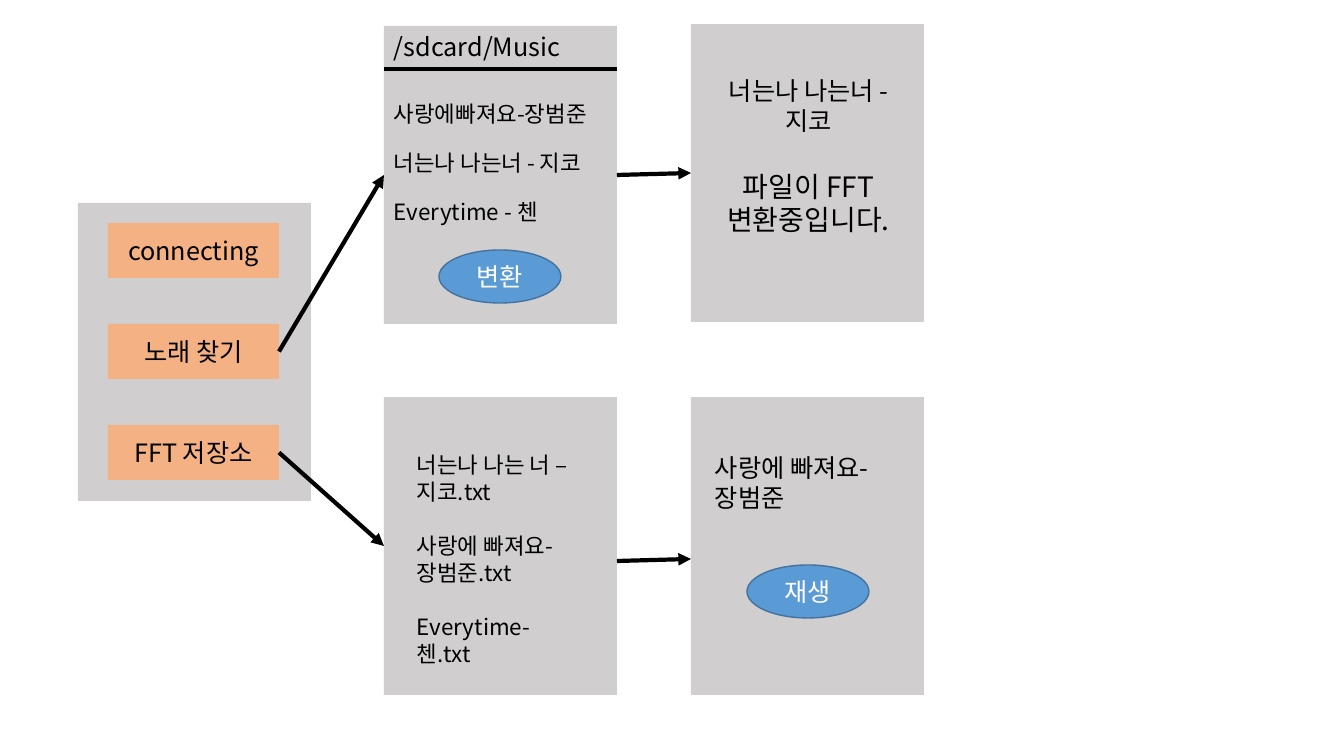
from lxml.etree import SubElement
from pptx import Presentation
from pptx.dml.color import RGBColor
from pptx.enum.shapes import MSO_CONNECTOR, MSO_SHAPE
from pptx.enum.text import MSO_ANCHOR, PP_ALIGN
from pptx.oxml.ns import qn
from pptx.util import Emu, Pt

# Content
MENU = ["connecting", "노래 찾기", "FFT 저장소"]
FOLDER = "/sdcard/Music"
SONGS = ["사랑에빠져요-장범준", "너는나 나는너 - 지코", "Everytime - 첸"]
CONVERTING = ["너는나 나는너 -지코", "파일이 FFT", "변환중입니다."]
FILES = ["너는나 나는 너 – 지코.txt", "사랑에 빠져요-장범준.txt", "Everytime-첸.txt"]
PLAYING = "사랑에 빠져요-장범준"
CONVERT, PLAY = "변환", "재생"

THEME = {
    "font": "Noto Sans CJK KR",
    "screen": "D0CECE", "button": "F4B183", "oval": "5B9BD5", "oval_line": "43739E",
    "ink": "000000", "light": "FFFFFF",
    "small": 16, "normal": 18, "large": 20, "rule": 3,
}

# Layout in px
SCREEN_W, SCREEN_H = 233, 298
MENU_X, LIST_X, RESULT_X = 78, 384, 691
MENU_Y, LIST_Y, CONVERT_Y, BOTTOM_Y = 203, 26, 24, 397
BUTTON_W, BUTTON_H, BUTTON_STEP = 171, 55, 101
OVAL_W, OVAL_H = 122, 53
SONG_Y, SONG_STEP = 95, 49


def px(n):
    return Emu(round(n * 914400 / 100.8))


def rgb(name):
    return RGBColor.from_string(THEME[name])


prs = Presentation()
prs.slide_width, prs.slide_height = px(1344), px(756)
s = prs.slides.add_slide(prs.slide_layouts[6])


def write(tf, lines, sizes, color="ink", align=PP_ALIGN.LEFT):
    tf.word_wrap = True
    tf.text = "\n".join(lines)
    for p, size in zip(tf.paragraphs, sizes):
        p.alignment = align
        for r in p.runs:
            r.font.size = Pt(THEME[size])
            r.font.color.rgb = rgb(color)
            r.font.name = THEME["font"]
            SubElement(r.font._element, qn("a:ea"), typeface=THEME["font"])


def add_box(shapes, kind, x, y, w, h, fill, line=None, label=None, color="ink"):
    sp = shapes.add_shape(kind, px(x), px(y), px(w), px(h))
    sp.shadow.inherit = False
    sp.fill.solid()
    sp.fill.fore_color.rgb = rgb(fill)
    if line:
        sp.line.color.rgb = rgb(line)
        sp.line.width = Pt(1)
    else:
        sp.line.fill.background()
    if label:
        sp.text_frame.vertical_anchor = MSO_ANCHOR.MIDDLE
        write(sp.text_frame, [label], ["normal"], color, PP_ALIGN.CENTER)
    return sp


def add_screen(x, y, shapes=s.shapes):
    return add_box(shapes, MSO_SHAPE.RECTANGLE, x, y, SCREEN_W, SCREEN_H, "screen")


def add_oval(x, y, label):
    add_box(s.shapes, MSO_SHAPE.OVAL, x, y, OVAL_W, OVAL_H, "oval", "oval_line", label, "light")


def add_text(x, y, w, h, lines, sizes, align=PP_ALIGN.LEFT):
    tf = s.shapes.add_textbox(px(x), px(y), px(w), px(h)).text_frame
    write(tf, lines, sizes, align=align)
    return tf


def add_line(x1, y1, x2, y2, arrow=True):
    cxn = s.shapes.add_connector(MSO_CONNECTOR.STRAIGHT, px(x1), px(y1), px(x2), px(y2))
    cxn.line.color.rgb = rgb("ink")
    cxn.line.width = Pt(THEME["rule"])
    if arrow:
        SubElement(cxn.line._get_or_add_ln(), qn("a:tailEnd"), type="triangle")
    SubElement(cxn._element.spPr, qn("a:effectLst"))
    return cxn


# Menu screen with its buttons
menu = s.shapes.add_group_shape()
add_screen(MENU_X, MENU_Y, menu.shapes)
buttons = [
    add_box(menu.shapes, MSO_SHAPE.RECTANGLE, MENU_X + 30, MENU_Y + 20 + i * BUTTON_STEP,
            BUTTON_W, BUTTON_H, "button", label=label)
    for i, label in enumerate(MENU)
]

# Song list screen
song_list = add_screen(LIST_X, LIST_Y)
add_line(LIST_X, 69, LIST_X + SCREEN_W, 69, arrow=False)
add_text(LIST_X, LIST_Y, SCREEN_W, 40, [FOLDER], ["normal"])
for i, song in enumerate(SONGS):
    add_text(LIST_X, SONG_Y + i * SONG_STEP, SCREEN_W, 37, [song], ["small"])
add_oval(LIST_X + 55, 250, CONVERT)

# Converting screen
converting = add_screen(RESULT_X, CONVERT_Y)
tf = add_text(RESULT_X + 14, 70, 207, 207, CONVERTING,
              ["normal", "large", "large"], PP_ALIGN.CENTER)
tf.paragraphs[1].space_before = Pt(24)

# FFT storage screen
storage = add_screen(LIST_X, BOTTOM_Y)
tf = add_text(LIST_X + 23, 446, 187, 201, FILES, ["small"] * len(FILES))
for p in tf.paragraphs[1:]:
    p.space_before = Pt(19.5)

# Player screen
add_screen(RESULT_X, BOTTOM_Y)
add_text(RESULT_X + 14, 447, 207, 102, [PLAYING], ["normal"])
add_oval(RESULT_X + 56, 565, PLAY)

# Arrows between the screens
for start, end in [(buttons[1], song_list), (song_list, converting), (buttons[2], storage)]:
    cxn = add_line(0, 0, 1, 1)
    cxn.begin_connect(start, 3)
    cxn.end_connect(end, 1)
add_line(LIST_X + SCREEN_W, 561, RESULT_X, 559)

prs.save("out.pptx")
